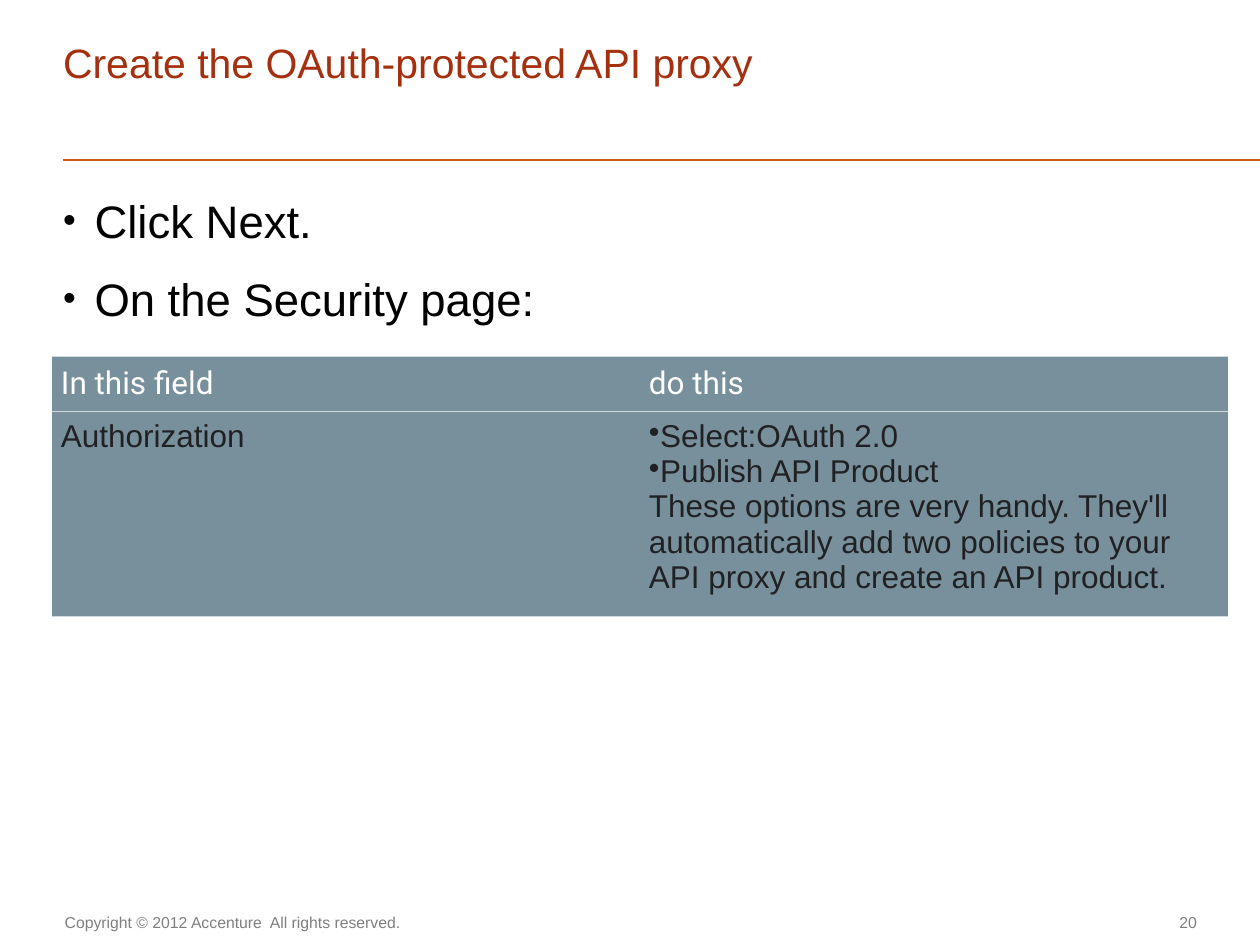
from lxml import etree
from pptx import Presentation
from pptx import util as u
from pptx.dml.color import RGBColor
from pptx.enum import shapes, text
from pptx.oxml import ns

PX = u.Inches(1) // 126
NO_GRID_STYLE = "{2D5ABB26-0587-4C30-8999-92F81FD0307C}"


def color(hex_string):
    return RGBColor.from_string(hex_string)


def add_element(parent, tag, **attributes):
    return etree.SubElement(parent, ns.qn(tag), attributes)


def place(shape, box):
    shape.left, shape.top, shape.width, shape.height = (n * PX for n in box)


def set_insets(frame, left=0, top=0, right=0, bottom=0):
    frame.margin_left, frame.margin_top = left * PX, top * PX
    frame.margin_right, frame.margin_bottom = right * PX, bottom * PX


def set_font(paragraph, size, hex_string, name="Arial"):
    font = paragraph.font
    font.size, font.name = u.Pt(size), name
    font.color.rgb = color(hex_string)


def add_title(slide, box, words):
    title = slide.shapes.title
    place(title, box)
    frame = title.text_frame
    frame.text = words
    frame.vertical_anchor = text.MSO_ANCHOR.BOTTOM
    set_insets(frame, bottom=45)
    paragraph = frame.paragraphs[0]
    paragraph.alignment = text.PP_ALIGN.LEFT
    paragraph.line_spacing = u.Pt(26)
    set_font(paragraph, 23.4, "A5300F")


def add_rule(slide, left, right, y):
    rule = slide.shapes.add_connector(
        shapes.MSO_CONNECTOR.STRAIGHT, left * PX, y * PX, right * PX, y * PX)
    rule.line.color.rgb = color("D55816")
    rule.line.width = u.Pt(1)
    add_element(rule._element.spPr, "a:effectLst")


def add_steps(slide, box, steps):
    body = slide.placeholders[1]
    place(body, box)
    frame = body.text_frame
    frame.text = "\n".join(steps)
    set_insets(frame)
    for index, paragraph in enumerate(frame.paragraphs):
        paragraph.line_spacing = 1.05
        paragraph.space_before = u.Pt(12 if index else 0)
        properties = paragraph._p.get_or_add_pPr()
        properties.set("marL", str(u.Inches(0.25)))
        properties.set("indent", str(-u.Inches(0.25)))
        bullet_color = add_element(properties, "a:buClr")
        add_element(bullet_color, "a:srgbClr", val="000000")
        add_element(properties, "a:buSzPct", val="80000")
        add_element(properties, "a:buChar", char="•")
        set_font(paragraph, 26, "000000")


def add_cell_borders(cell, hex_string):
    properties = cell._tc.get_or_add_tcPr()
    for index, tag in enumerate(("a:lnT", "a:lnB")):
        line = etree.Element(ns.qn(tag), w=str(u.Pt(0.6)))
        fill = add_element(line, "a:solidFill")
        add_element(fill, "a:srgbClr", val=hex_string)
        properties.insert(index, line)


def fill_cell(cell, lines, is_header):
    cell.fill.solid()
    cell.fill.fore_color.rgb = color("78909C")
    add_cell_borders(cell, "CFD8DC")
    set_insets(cell, 9, 9 if is_header else 7, 9, 9)
    cell.vertical_anchor = text.MSO_ANCHOR.MIDDLE if is_header else text.MSO_ANCHOR.TOP
    cell.text = "\n".join(line.lstrip("•") for line in lines)
    for paragraph, line in zip(cell.text_frame.paragraphs, lines):
        if line.startswith("•"):
            add_element(paragraph._p.get_or_add_pPr(), "a:buChar", char="•")
        if is_header:
            set_font(paragraph, 18, "FFFFFF", "Roboto")
        else:
            set_font(paragraph, 18, "202124")


def add_field_table(slide, box, row_heights, rows):
    frame = slide.shapes.add_table(len(rows), len(rows[0]), *(n * PX for n in box))
    table = frame.table
    table.first_row = table.horz_banding = False
    table._tbl.tblPr.find(ns.qn("a:tableStyleId")).text = NO_GRID_STYLE
    for index, (height, cells) in enumerate(zip(row_heights, rows)):
        table.rows[index].height = height * PX
        for column, lines in enumerate(cells):
            fill_cell(table.cell(index, column), lines, index == 0)


def add_footer_text(slide, box, words, alignment, insets=()):
    text_box = slide.shapes.add_textbox(*(n * PX for n in box))
    frame = text_box.text_frame
    frame.word_wrap = True
    frame.text = words
    frame.vertical_anchor = text.MSO_ANCHOR.MIDDLE
    set_insets(frame, *insets)
    frame.paragraphs[0].alignment = alignment
    set_font(frame.paragraphs[0], 9, "7F7F7F")


def main():
    presentation = Presentation()
    presentation.slide_width = 1260 * PX
    presentation.slide_height = 945 * PX
    slide = presentation.slides.add_slide(presentation.slide_layouts[1])

    add_rule(slide, 63, 1260, 160)
    add_footer_text(slide, (62, 906, 354, 32),
                    "Copyright © 2012 Accenture  All rights reserved.",
                    text.PP_ALIGN.CENTER, (0, 6, 13, 6))
    add_footer_text(slide, (1123, 905, 74, 34), "20", text.PP_ALIGN.RIGHT)
    add_steps(slide, (63, 190, 1134, 146), ["Click Next.", "On the Security page:"])
    add_title(slide, (63, 24, 1130, 108), "Create the OAuth-protected API proxy")
    add_field_table(slide, (52, 356, 1176, 245), (53, 192), [
        [["In this field"], ["do this"]],
        [["Authorization"],
         ["•Select:OAuth 2.0", "•Publish API Product",
          "These options are very handy. They'll automatically add two "
          "policies to your API proxy and create an API product."]],
    ])
    presentation.save("out.pptx")


if __name__ == "__main__":
    main()
